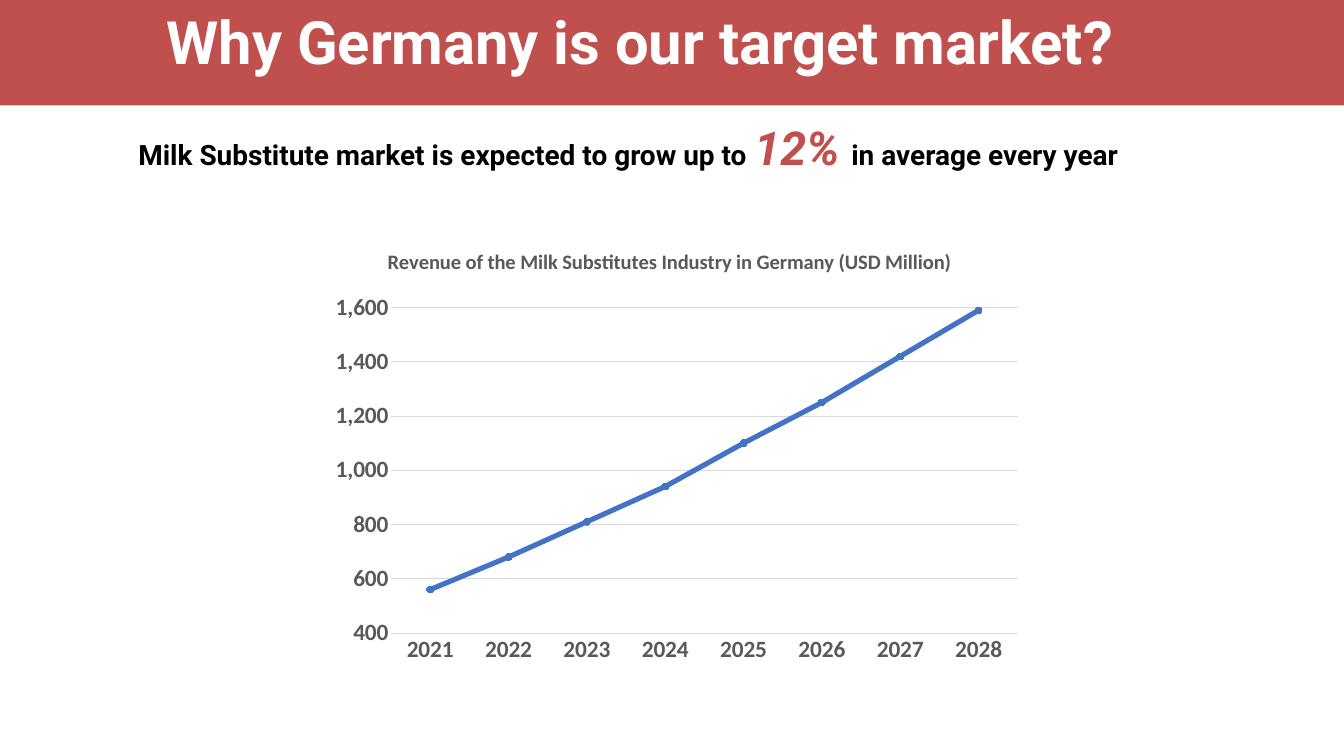
import dataclasses

import lxml.etree
import pptx
import pptx.chart.data
import pptx.dml.color
import pptx.enum.chart
import pptx.enum.shapes
import pptx.enum.text
import pptx.oxml
import pptx.oxml.ns
import pptx.util


@dataclasses.dataclass(frozen=True)
class Theme:
    accent: str = "C0504D"
    line: str = "4472C4"
    grid: str = "D9D9D9"
    label: str = "595959"
    ink: str = "000000"
    paper: str = "FFFFFF"
    text_font: str = "Roboto"
    chart_font: str = "Calibri"
    title_size: int = 64
    figure_size: int = 50
    claim_size: int = 30
    axis_size: int = 25
    chart_title_size: int = 22


THEME = Theme()
WIDTH, HEIGHT = 20, 11.25
REVENUE = {2021: 560, 2022: 680, 2023: 810, 2024: 940,
           2025: 1100, 2026: 1250, 2027: 1420, 2028: 1590}


def inches(*lengths):
    return [pptx.util.Inches(length) for length in lengths]


def rgb(code):
    return pptx.dml.color.RGBColor.from_string(code)


def set_values(target, values):
    for name, value in values.items():
        setattr(target, name, value)


def format_font(font, name, size, color, italic=False):
    set_values(font, {"name": name, "size": pptx.util.Pt(size),
                      "bold": True, "italic": italic})
    font.color.rgb = rgb(color)


def format_line(line, color, width):
    line.color.rgb = rgb(color)
    line.width = pptx.util.Pt(width)


def add_band(slide):
    band = slide.shapes.add_shape(
        pptx.enum.shapes.MSO_SHAPE.RECTANGLE, *inches(0, 0, WIDTH, 1.57))
    band.fill.solid()
    band.fill.fore_color.rgb = rgb(THEME.accent)
    band.line.fill.background()
    band.shadow.inherit = False
    return band


def set_title(slide, text, band):
    title = slide.shapes.title
    band._element.addnext(title._element)  # the title stands in front of the band
    left, top, width, height = inches(0.59, 0.45, 18.08, 1.43)
    set_values(title, {"left": left, "top": top, "width": width, "height": height})
    frame = title.text_frame
    set_values(frame, {
        "margin_left": 0, "margin_right": 0, "margin_top": 0, "margin_bottom": 0,
        "word_wrap": True,
        "auto_size": pptx.enum.text.MSO_AUTO_SIZE.NONE,
        "vertical_anchor": pptx.enum.text.MSO_ANCHOR.TOP,
    })
    heading = frame.paragraphs[0]
    set_values(heading, {"alignment": pptx.enum.text.PP_ALIGN.CENTER,
                         "line_spacing": pptx.util.Pt(49.2)})
    run = heading.add_run()
    run.text = text
    format_font(run.font, THEME.text_font, THEME.title_size, THEME.paper)


def add_claim(slide, parts):
    claim = slide.shapes.add_textbox(*inches(1.96, 1.72, 17.14, 0.94))
    claim.text_frame.word_wrap = True
    for text, size, color, italic in parts:
        run = claim.text_frame.paragraphs[0].add_run()
        run.text = text
        format_font(run.font, THEME.text_font, size, color, italic)


def place_in_chart(parent, index, inner=False, **shares):
    """Fix a chart part at shares of the chart's width and height."""
    for old in parent.findall(pptx.oxml.ns.qn("c:layout")):
        parent.remove(old)
    layout = lxml.etree.Element(pptx.oxml.ns.qn("c:layout"))
    manual = lxml.etree.SubElement(layout, pptx.oxml.ns.qn("c:manualLayout"))
    settings = {"layoutTarget": "inner"} if inner else {}
    settings.update(xMode="edge", yMode="edge", **shares)
    for name, value in settings.items():
        lxml.etree.SubElement(manual, pptx.oxml.ns.qn(f"c:{name}"), val=str(value))
    parent.insert(index, layout)


def format_axes(chart):
    for axis in (chart.category_axis, chart.value_axis):
        set_values(axis, {"major_tick_mark": pptx.enum.chart.XL_TICK_MARK.NONE,
                          "minor_tick_mark": pptx.enum.chart.XL_TICK_MARK.NONE})
        format_font(axis.tick_labels.font, THEME.chart_font, THEME.axis_size, THEME.label)
    years, revenue = chart.category_axis, chart.value_axis
    format_line(years.format.line, THEME.grid, 0.75)
    set_values(revenue, {"minimum_scale": 400, "maximum_scale": 1600,
                         "major_unit": 200, "has_major_gridlines": True})
    format_line(revenue.major_gridlines.format.line, THEME.grid, 0.75)
    revenue.format.line.fill.background()
    set_values(revenue.tick_labels, {"number_format": "#,##0",
                                     "number_format_is_linked": False})


def add_revenue_chart(slide, title):
    revenue_data = pptx.chart.data.CategoryChartData(number_format="#,##0")
    revenue_data.categories = [str(year) for year in REVENUE]
    revenue_data.add_series("Series 1", REVENUE.values())
    chart = slide.shapes.add_chart(
        pptx.enum.chart.XL_CHART_TYPE.LINE_MARKERS,
        *inches(4.64, 3.35, 10.72, 6.82), revenue_data).chart
    chart.has_legend = False
    chart.font.name = THEME.chart_font
    chart.font.size = pptx.util.Pt(10)
    chart.font.color.rgb = rgb(THEME.ink)
    format_axes(chart)

    # Chart title and plot area
    run = chart.chart_title.text_frame.paragraphs[0].add_run()
    run.text = title
    format_font(run.font, THEME.chart_font, THEME.chart_title_size, THEME.label)
    place_in_chart(chart.chart_title._element, 1, x=0.1, y=0.04)
    plot_area = chart._chartSpace.find(".//" + pptx.oxml.ns.qn("c:plotArea"))
    place_in_chart(plot_area, 0, inner=True, x=0.11, y=0.18, w=0.87, h=0.71)

    # Revenue line
    chart.plots[0].vary_by_categories = False
    growth = chart.plots[0].series[0]
    growth.smooth = False
    format_line(growth.format.line, THEME.line, 5.5)
    set_values(growth.marker, {"style": pptx.enum.chart.XL_MARKER_STYLE.CIRCLE, "size": 7})
    growth.marker.format.fill.solid()
    growth.marker.format.fill.fore_color.rgb = rgb(THEME.line)
    format_line(growth.marker.format.line, THEME.line, 0.75)


def main():
    deck = pptx.Presentation()
    deck.slide_width, deck.slide_height = inches(WIDTH, HEIGHT)
    slide = deck.slides.add_slide(deck.slide_layouts.get_by_name("Title Only"))

    # Header
    band = add_band(slide)
    set_title(slide, "Why Germany is our target market? ", band)

    # Claim and its evidence
    add_claim(slide, [
        ("Milk Substitute market is expected to grow up to ",
         THEME.claim_size, THEME.ink, False),
        ("12% ", THEME.figure_size, THEME.accent, True),
        ("in average every year", THEME.claim_size, THEME.ink, False),
    ])
    add_revenue_chart(
        slide, "Revenue of the Milk Substitutes Industry in Germany (USD Million)")
    deck.save("out.pptx")


if __name__ == "__main__":
    main()
